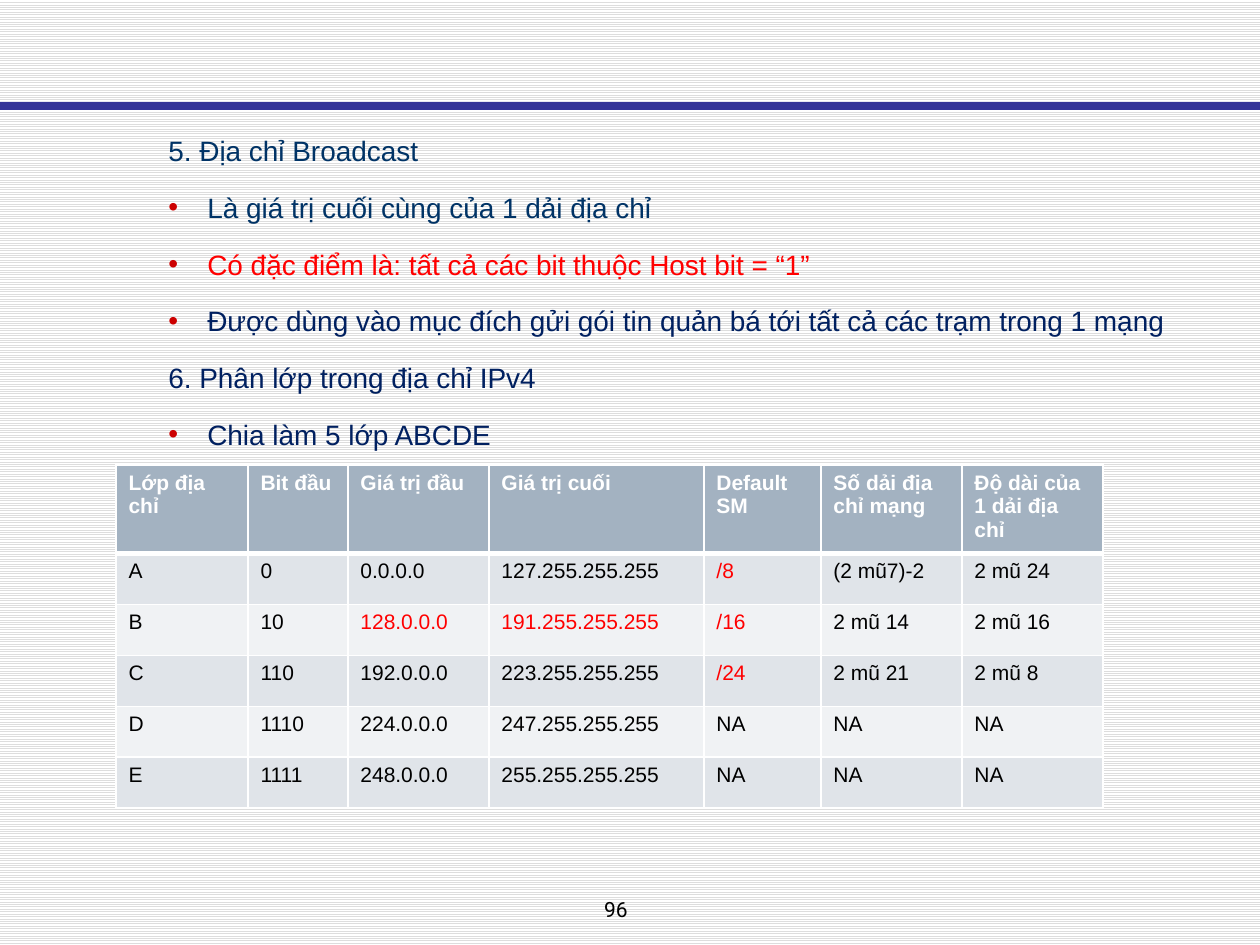
from lxml import etree
from pptx import Presentation
from pptx.dml.color import RGBColor
from pptx.enum.dml import MSO_PATTERN
from pptx.enum.shapes import MSO_SHAPE
from pptx.enum.text import PP_ALIGN
from pptx.oxml.ns import qn
from pptx.util import Pt

PX = 914400 / 126
LINES = MSO_PATTERN.LIGHT_HORIZONTAL
RECT = MSO_SHAPE.RECTANGLE
LEFT, CENTER = PP_ALIGN.LEFT, PP_ALIGN.CENTER

COLORS = {
    "white": "FFFFFF", "black": "000000", "stripe": "DDDDDD",
    "rule": "333399", "teal": "003366", "navy": "002060",
    "red": "FF0000", "dot": "CC0000",
    "head": "A3B2C1", "odd": "E0E4E9", "even": "F0F2F4",
}

POINTS = [
    ("5. Địa chỉ Broadcast", "teal", False),
    ("Là giá trị cuối cùng của 1 dải địa chỉ", "teal", True),
    ("Có đặc điểm là: tất cả các bit thuộc Host bit = “1”", "red", True),
    ("Được dùng vào mục đích gửi gói tin quản bá tới tất cả các trạm trong 1 mạng",
     "navy", True),
    ("6. Phân lớp trong địa chỉ IPv4", "navy", False),
    ("Chia làm 5 lớp ABCDE", "navy", True),
]

ROWS = [
    ["Lớp địa chỉ", "Bit đầu", "Giá trị đầu", "Giá trị cuối", "Default SM",
     "Số dải địa chỉ mạng", "Độ dài của 1 dải địa chỉ"],
    ["A", "0", "0.0.0.0", "127.255.255.255", "/8", "(2 mũ7)-2", "2 mũ 24"],
    ["B", "10", "128.0.0.0", "191.255.255.255", "/16", "2 mũ 14", "2 mũ 16"],
    ["C", "110", "192.0.0.0", "223.255.255.255", "/24", "2 mũ 21", "2 mũ 8"],
    ["D", "1110", "224.0.0.0", "247.255.255.255", "NA", "NA", "NA"],
    ["E", "1111", "248.0.0.0", "255.255.255.255", "NA", "NA", "NA"],
]
WIDTHS = [132, 100, 141, 215, 117, 141, 141]
HEIGHTS = [88] + [51] * 5
RED_CELLS = {"/8", "/16", "/24", "128.0.0.0", "191.255.255.255"}


def px(n):
    return round(n * PX)


def rgb(name):
    return RGBColor.from_string(COLORS[name])


def write(para, text, size=12, font="Arial", color="black", bold=False, align=LEFT):
    para.alignment = align
    run = para.add_run()
    run.text = text
    run.font.size = Pt(size)
    run.font.name = font
    run.font.bold = bold
    run.font.color.rgb = rgb(color)


def add_box(slide, box):
    frame = slide.shapes.add_textbox(*map(px, box)).text_frame
    frame.word_wrap = True
    return frame


def add_dot(para, indent):
    props = para._p.get_or_add_pPr()
    props.set("marL", str(px(indent)))
    props.set("indent", str(-px(indent)))
    color = etree.SubElement(props, qn("a:buClr"))
    etree.SubElement(color, qn("a:srgbClr"), val=COLORS["dot"])
    etree.SubElement(props, qn("a:buFont"), typeface="Arial")
    etree.SubElement(props, qn("a:buChar"), char="•")


def add_edges(cell, base):
    props = cell._tc.get_or_add_tcPr()
    for side, width in (("L", 1), ("R", 1), ("T", 1), ("B", base)):
        line = etree.SubElement(props, qn("a:ln" + side), w=str(Pt(width)))
        fill = etree.SubElement(line, qn("a:solidFill"))
        etree.SubElement(fill, qn("a:srgbClr"), val=COLORS["white"])


def add_back(slide):
    fill = slide.background.fill
    fill.patterned()
    fill.pattern = LINES
    fill.fore_color.rgb = rgb("stripe")
    fill.back_color.rgb = rgb("white")


def add_rule(slide, box):
    rule = slide.shapes.add_shape(RECT, *map(px, box))
    rule.shadow.inherit = False
    rule.fill.solid()
    rule.fill.fore_color.rgb = rgb("rule")
    rule.line.fill.background()


def add_points(slide, box):
    frame = add_box(slide, box)
    for i, (text, color, dotted) in enumerate(POINTS):
        para = frame.add_paragraph() if i else frame.paragraphs[0]
        para.line_spacing = 1.35
        para.space_before = Pt(6.5)
        write(para, text, size=16, color=color)
        if dotted:
            add_dot(para, 39)


def add_grid(slide, left, top):
    box = (left, top, sum(WIDTHS), sum(HEIGHTS))
    table = slide.shapes.add_table(len(ROWS), len(WIDTHS), *map(px, box)).table
    for col, width in zip(table.columns, WIDTHS):
        col.width = px(width)
    for r, (row, height) in enumerate(zip(ROWS, HEIGHTS)):
        table.rows[r].height = px(height)
        head = r == 0
        shade = "head" if head else "odd" if r % 2 else "even"
        for c, text in enumerate(row):
            cell = table.cell(r, c)
            color = "white" if head else "red" if text in RED_CELLS else "black"
            write(cell.text_frame.paragraphs[0], text, color=color, bold=head)
            add_edges(cell, 3 if head else 1)
            cell.fill.solid()
            cell.fill.fore_color.rgb = rgb(shade)


def add_number(slide, box):
    frame = add_box(slide, box)
    write(frame.paragraphs[0], "96", font="Roboto", align=CENTER)


def main():
    deck = Presentation()
    deck.slide_width, deck.slide_height = px(1260), px(945)
    slide = deck.slides.add_slide(deck.slide_layouts[6])
    add_back(slide)
    add_rule(slide, (0, 102, 1260, 8))
    add_number(slide, (514, 890, 204, 38))
    add_points(slide, (156, 116, 1072, 693))
    add_grid(slide, 116, 465)
    deck.save("out.pptx")


if __name__ == "__main__":
    main()
